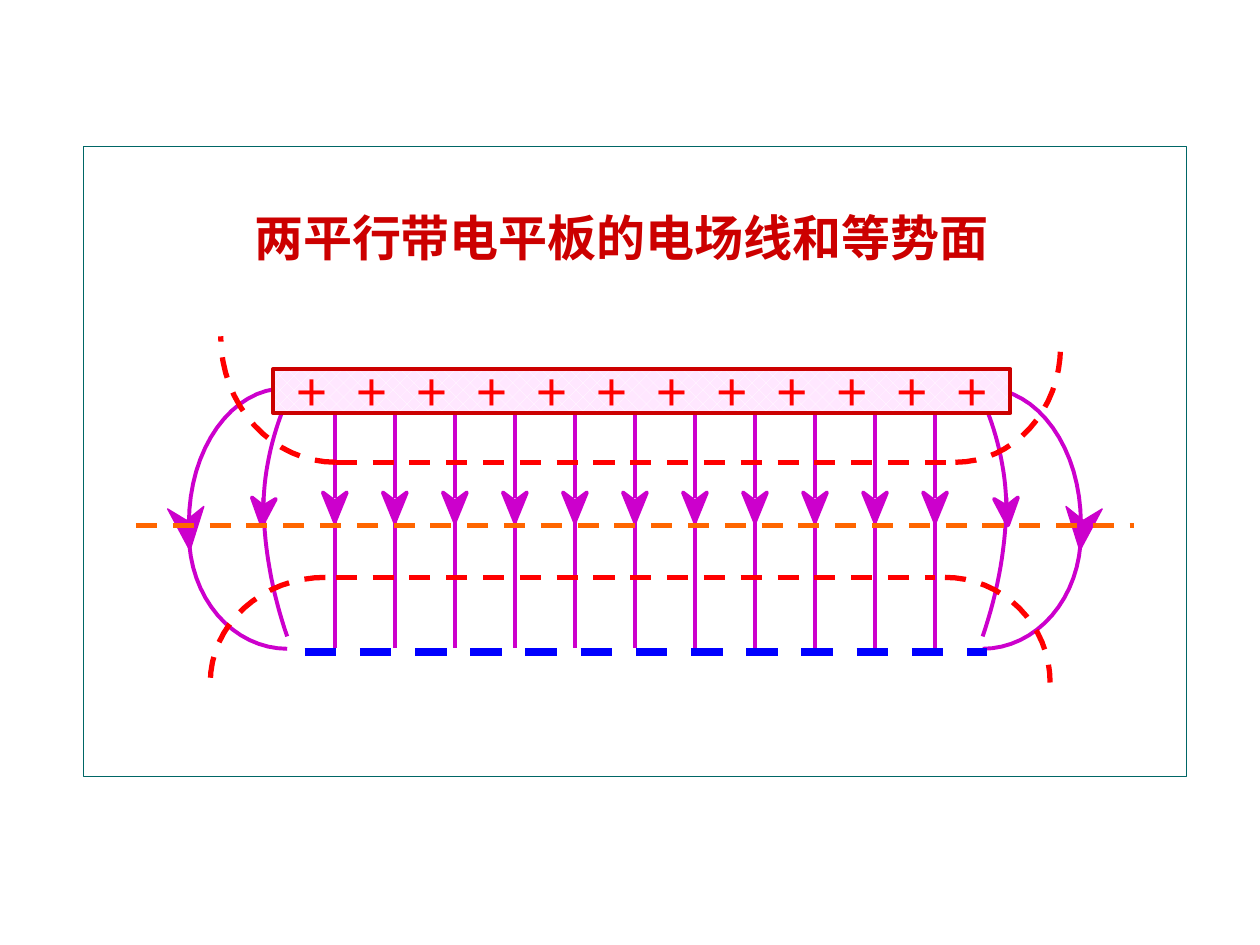
import math

import pptx
import pptx.dml.color
import pptx.enum.dml
import pptx.enum.shapes
import pptx.enum.text
import pptx.oxml
import pptx.oxml.ns
import pptx.util
from lxml import etree
from pptx.util import Cm, Pt

COLORS = {
    "white": "FFFFFF",
    "frame": "006666",
    "title": "CC0000",
    "field": "CC00CC",
    "plate": "FFE7FF",
    "positive": "FF0000",
    "negative": "0000FF",
    "middle": "FF6600",
}
FONT = "Times New Roman"
LINES = 11      # straight field lines
PITCH = 1.21    # distance between charges, cm
STEPS = 16      # segments in a curve


def rgb(name):
    return pptx.dml.color.RGBColor.from_string(COLORS[name])


def style_line(shape, color, width, dashed=False):
    shape.line.color.rgb = rgb(color)
    shape.line.width = Pt(width)
    if dashed:
        shape.line.dash_style = pptx.enum.dml.MSO_LINE.DASH


def style_text(p, color, size):
    p.font.name = FONT
    p.font.size = Pt(size)
    p.font.bold = True
    p.font.color.rgb = rgb(color)


def add_line(s, x1, y1, x2, y2, color, width, dashed=False):
    line = s.shapes.add_connector(
        pptx.enum.shapes.MSO_CONNECTOR.STRAIGHT, Cm(x1), Cm(y1), Cm(x2), Cm(y2))
    style_line(line, color, width, dashed)
    etree.SubElement(line.element.spPr, pptx.oxml.ns.qn("a:effectLst"))


def add_outline(s, points, color, width, dashed=False, closed=False):
    pts = [(Cm(x), Cm(y)) for x, y in points]
    builder = s.shapes.build_freeform(*pts[0])
    builder.add_line_segments(pts[1:], close=closed)
    sp = builder.convert_to_shape()
    sp.shadow.inherit = False
    if closed:
        sp.fill.solid()
        sp.fill.fore_color.rgb = rgb(color)
    else:
        sp.fill.background()
    style_line(sp, color, width, dashed)


def add_rect(s, x, y, w, h, color, width):
    sp = s.shapes.add_shape(
        pptx.enum.shapes.MSO_SHAPE.RECTANGLE, Cm(x), Cm(y), Cm(w), Cm(h))
    sp.shadow.inherit = False
    style_line(sp, color, width)
    return sp


def quarter(x0, y0, x1, y1):
    """Quarter ellipse, level at the first point and upright at the second."""
    angles = [math.pi / 2 * i / STEPS for i in range(STEPS + 1)]
    return [(x0 + (x1 - x0) * math.sin(a), y1 + (y0 - y1) * math.cos(a))
            for a in angles]


def bow(x0, y0, x1, y1):
    """Parabola that is upright at the second point."""
    steps = [i / STEPS for i in range(STEPS + 1)]
    return [(x1 + (x0 - x1) * (1 - t) ** 2, y0 + (y1 - y0) * t) for t in steps]


def heading(s, x, y, w, h):
    # White panel behind everything
    panel = add_rect(s, x, y, w, h, "frame", 0.75)
    panel.fill.solid()
    panel.fill.fore_color.rgb = rgb("white")

    # Title, raised above the panel
    title = s.shapes.title
    panel.element.addnext(title.element)
    title.left, title.top = Cm(x + 3.18), Cm(y + 1.1)
    title.width, title.height = Cm(17.98), Cm(1.45)
    tf = title.text_frame
    tf.text = "两平行带电平板的电场线和等势面"
    tf.word_wrap = True
    tf.auto_size = pptx.enum.text.MSO_AUTO_SIZE.NONE
    tf.vertical_anchor = pptx.enum.text.MSO_ANCHOR.MIDDLE
    tf.paragraphs[0].alignment = pptx.enum.text.PP_ALIGN.LEFT
    style_text(tf.paragraphs[0], "title", 28)


def field_lines(s, x, y, w):
    # Straight lines between the plates
    for i in range(LINES):
        cx = x + w / 2 + (i - (LINES - 1) / 2) * PITCH
        add_line(s, cx, y + 1.58, cx, y + 3.25, "field", 2.25)
        head = [(cx - 0.24, y + 3.15), (cx, y + 3.74),
                (cx + 0.24, y + 3.15), (cx, y + 3.33)]
        add_outline(s, head, "field", 2.25, closed=True)
        add_line(s, cx, y + 3.74, cx, y + 6.28, "field", 2.25)

    # Bulging lines at both ends, measured from the centre
    curves = [bow(7.01, 6.05, 7.49, 3.25), bow(7.03, 1.32, 7.49, 3.53),
              quarter(7.01, 6.3, 8.99, 3.99), quarter(7.06, 1.05, 8.99, 3.76)]
    heads = [
        (2.25, [(7.24, 3.28), (7.52, 3.81), (7.72, 3.25), (7.49, 3.43)]),
        (0.75, [(8.69, 3.43), (8.97, 4.32), (9.42, 3.48), (9.04, 3.71)]),
    ]
    for side in (1, -1):
        def place(points):
            return [(x + w / 2 + side * px, y + py) for px, py in points]
        for curve in curves:
            add_outline(s, place(curve), "field", 2.25)
        for width, head in heads:
            add_outline(s, place(head), "field", width, closed=True)


def plates(s, x, y):
    # Negative plate
    add_line(s, x + 3.4, y + 6.36, x + 17.15, y + 6.36, "negative", 4.5, True)

    # Positive plate
    plate = add_rect(s, x + 2.77, y + 0.66, 14.86, 0.89, "title", 2.25)
    plate.fill.patterned()
    plate.fill.pattern = pptx.enum.dml.MSO_PATTERN.PERCENT_25
    plate.fill.fore_color.rgb = rgb("white")
    plate.fill.back_color.rgb = rgb("plate")

    # Charges, one on each tab stop
    tb = s.shapes.add_textbox(Cm(x + 2.97), Cm(y), Cm(14.81), Cm(1.96))
    tf = tb.text_frame
    tf.word_wrap = True
    tf.margin_top = Cm(0.38)
    p = tf.paragraphs[0]
    p.text = "\t".join("+" * (LINES + 1))
    tabs = etree.SubElement(p._p.get_or_add_pPr(), pptx.oxml.ns.qn("a:tabLst"))
    for i in range(1, LINES + 1):
        etree.SubElement(tabs, pptx.oxml.ns.qn("a:tab"),
                         pos=str(Cm(i * PITCH)), algn="l")
    style_text(p, "positive", 32)


def equipotentials(s, x, y, w):
    # Level parts
    for x1, x2, level, color in [(0, w, 3.81, "middle"),
                                 (4.03, 16.11, 4.86, "positive"),
                                 (4.03, 16.52, 2.54, "positive")]:
        add_line(s, x + x1, y + level, x + x2, y + level, color, 3, True)

    # Curved ends
    for x0, y0, x1, y1 in [(16.31, 4.86, 18.43, 6.98), (3.82, 4.86, 1.5, 6.98),
                           (16.52, 2.54, 18.64, 0.21), (4.03, 2.54, 1.71, 0)]:
        add_outline(s, quarter(x + x0, y + y0, x + x1, y + y1),
                    "positive", 3, True)


def main():
    prs = pptx.Presentation()
    prs.slide_width, prs.slide_height = Cm(25.4), Cm(19.05)
    s = prs.slides.add_slide(prs.slide_layouts[5])
    heading(s, 1.69, 2.96, 22.23, 12.7)
    x, y, w = 2.74, 6.78, 20.12
    field_lines(s, x, y, w)
    plates(s, x, y)
    equipotentials(s, x, y, w)
    prs.save("out.pptx")


if __name__ == "__main__":
    main()
